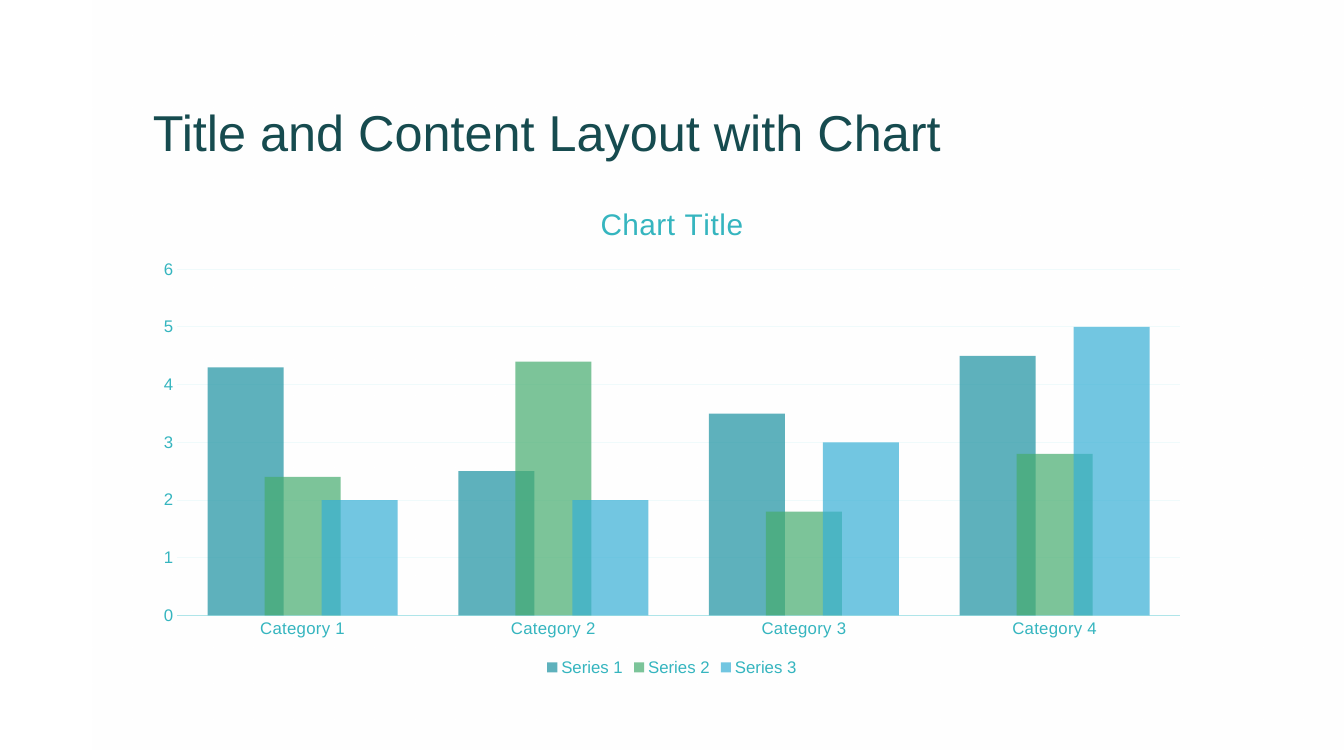
from lxml.etree import SubElement
from pptx import Presentation
from pptx.chart.data import CategoryChartData
from pptx.dml.color import RGBColor
from pptx.enum.chart import XL_CHART_TYPE, XL_LEGEND_POSITION, XL_TICK_MARK
from pptx.enum.text import MSO_ANCHOR, MSO_AUTO_SIZE, PP_ALIGN
from pptx.oxml.ns import qn
from pptx.util import Inches, Pt

WHITE = RGBColor(0xFF, 0xFF, 0xFF)
DARK_TEAL = RGBColor(0x16, 0x4B, 0x4F)
BRIGHT_TEAL = RGBColor(0x35, 0xB5, 0xBF)
AXIS_TEAL = RGBColor(0xAF, 0xE5, 0xE9)
GRID_TEAL = RGBColor(0xEF, 0xFA, 0xFB)
SERIES_TEAL = RGBColor(0x1B, 0x91, 0xA1)
SERIES_GREEN = RGBColor(0x46, 0xAC, 0x6F)
SERIES_BLUE = RGBColor(0x37, 0xAF, 0xD5)

CATEGORIES = [f"Category {n}" for n in range(1, 5)]
SERIES = [
    ("Series 1", (4.3, 2.5, 3.5, 4.5), SERIES_TEAL),
    ("Series 2", (2.4, 4.4, 1.8, 2.8), SERIES_GREEN),
    ("Series 3", (2, 2, 3, 5), SERIES_BLUE),
]


def set_alpha(color_element, percent):
    SubElement(color_element, qn("a:alpha")).set("val", str(percent * 1000))


class ChartSlide:
    """Places elements on a grid of 160 columns by 90 rows."""

    FONT = "Arial"
    COLUMNS, ROWS = 160, 90

    def __init__(self, deck):
        self.column = deck.slide_width / self.COLUMNS
        self.row = deck.slide_height / self.ROWS
        self.slide = deck.slides.add_slide(deck.slide_layouts[5])

    def box(self, column, row, columns, rows):
        return (round(column * self.column), round(row * self.row),
                round(columns * self.column), round(rows * self.row))

    def style(self, font, size, color, spacing=0):
        font.name = self.FONT
        font.size = Pt(size)
        font.bold = False
        font.color.rgb = color
        if spacing:
            font._element.set("spc", str(spacing))

    def veil(self, *cells):
        veil = self.slide.shapes.add_shape(1, *self.box(*cells))
        veil.shadow.inherit = False
        veil.line.fill.background()
        veil.fill.gradient()
        veil.fill.gradient_angle = 270
        for stop, position, alpha in zip(veil.fill.gradient_stops, (0, 1), (60, 0)):
            stop.position = position
            stop.color.rgb = WHITE
            set_alpha(stop._gs[0], alpha)
        # Behind the title
        self.slide.shapes._spTree.insert(2, veil._element)

    def title(self, text, *cells):
        title = self.slide.shapes.title
        title.left, title.top, title.width, title.height = self.box(*cells)
        frame = title.text_frame
        frame.text = text
        frame.word_wrap = True
        frame.auto_size = MSO_AUTO_SIZE.NONE
        frame.vertical_anchor = MSO_ANCHOR.BOTTOM
        heading = frame.paragraphs[0]
        heading.alignment = PP_ALIGN.LEFT
        heading.line_spacing = 0.9
        self.style(heading.runs[0].font, 36, DARK_TEAL)

    def column_chart(self, heading, *cells):
        data = CategoryChartData()
        data.categories = CATEGORIES
        for name, values, _ in SERIES:
            data.add_series(name, values)
        chart = self.slide.shapes.add_chart(
            XL_CHART_TYPE.COLUMN_CLUSTERED, *self.box(*cells), data).chart
        self.style(chart.font, 10, DARK_TEAL)

        # Heading and legend
        chart.has_title = True
        chart.chart_title.include_in_layout = False
        caption = chart.chart_title.text_frame
        caption.text = heading
        self.style(caption.paragraphs[0].runs[0].font, 21.3, BRIGHT_TEAL, 50)
        chart.has_legend = True
        chart.legend.position = XL_LEGEND_POSITION.BOTTOM
        chart.legend.include_in_layout = False
        self.style(chart.legend.font, 12, BRIGHT_TEAL)

        # Columns
        plot = chart.plots[0]
        plot.gap_width = 80
        plot.overlap = 25
        plot.vary_by_categories = False
        for series, (_, _, color) in zip(plot.series, SERIES):
            series.format.fill.solid()
            series.format.fill.fore_color.rgb = color
            srgb = next(series.format.fill._xPr.iter(qn("a:srgbClr")))
            set_alpha(srgb, 70)

        # Axes
        category_axis, value_axis = chart.category_axis, chart.value_axis
        for axis, spacing in ((category_axis, 20), (value_axis, 0)):
            axis.major_tick_mark = axis.minor_tick_mark = XL_TICK_MARK.NONE
            self.style(axis.tick_labels.font, 12, BRIGHT_TEAL, spacing)
        category_axis.format.line.color.rgb = AXIS_TEAL
        category_axis.format.line.width = Pt(1.25)
        value_axis.format.line.fill.background()
        value_axis.minimum_scale, value_axis.maximum_scale = 0, 6
        value_axis.major_unit = 1
        value_axis.has_major_gridlines = True
        value_axis.major_gridlines.format.line.color.rgb = GRID_TEAL
        value_axis.major_gridlines.format.line.width = Pt(0.75)


def main():
    deck = Presentation()
    deck.slide_width, deck.slide_height = Inches(13.33), Inches(7.5)
    page = ChartSlide(deck)
    page.veil(11, 0, 149, 90)
    page.title("Title and Content Layout with Chart", 17, 5, 126, 15)
    page.column_chart("Chart Title", 17, 22, 126, 59)
    deck.save("out.pptx")


if __name__ == "__main__":
    main()
